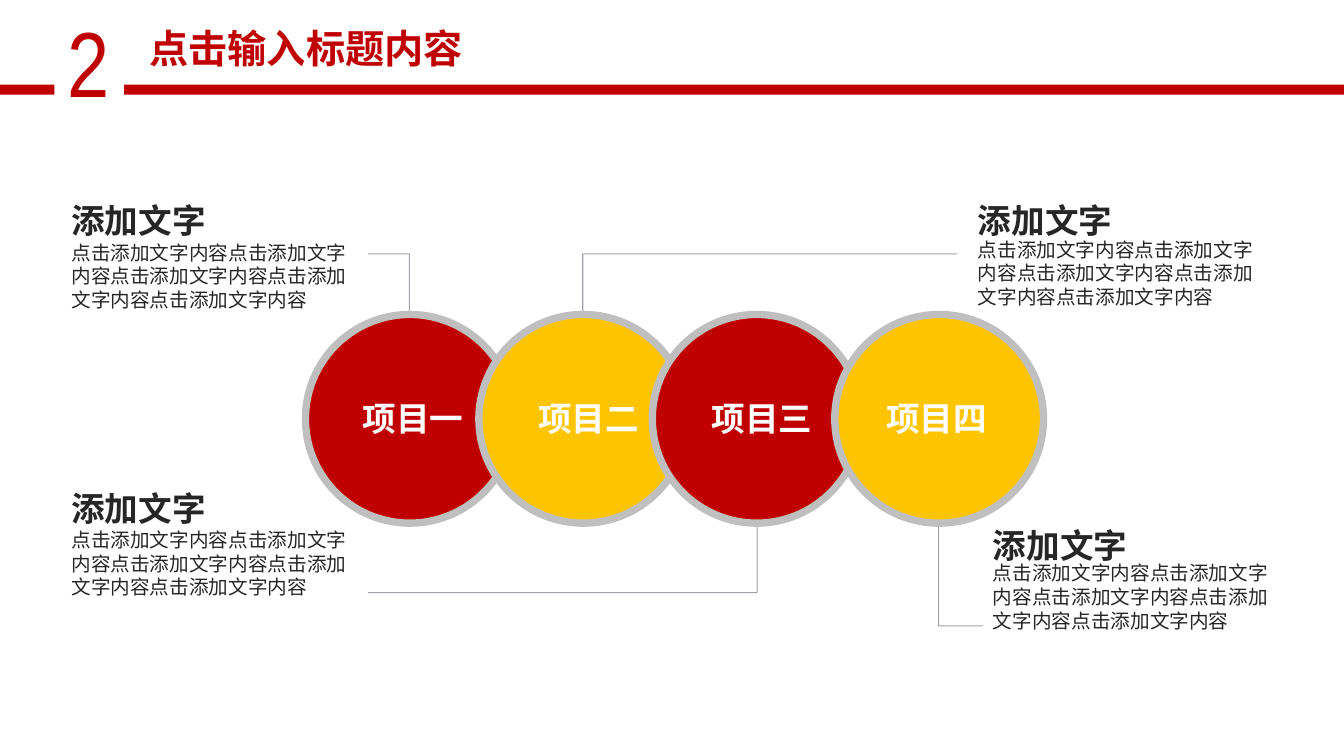
from lxml.etree import SubElement
from pptx import Presentation
from pptx.dml.color import RGBColor
from pptx.enum.shapes import MSO_CONNECTOR, MSO_SHAPE
from pptx.enum.text import MSO_ANCHOR, PP_ALIGN
from pptx.oxml.ns import qn
from pptx.util import Inches, Pt

RED, YELLOW, GREY, DARK, WHITE, SLATE = (
    "C00000", "FFC400", "BFBFBF", "262626", "FFFFFF", "414455")
CJK = "Noto Sans CJK SC"
BODY = "点击添加文字内容" * 5

NUMBER = {"size": Pt(66), "name": "Arial Narrow", "bold": False}
TITLE = {"size": Pt(28), "name": CJK, "bold": True}
HEADING = {"size": Pt(24), "name": CJK, "bold": True}
DETAIL = {"size": Pt(14), "name": CJK, "bold": False}

NOTES = [(0.61, 1.77, 2.34), (0.61, 4.63, 5.19),
         (9.6, 1.77, 2.31), (9.75, 5, 5.52)]
ITEMS = [("项目一", 3.03, 3.5, RED), ("项目二", 4.75, 5.24, YELLOW),
         ("项目三", 6.47, 6.96, RED), ("项目四", 8.28, 8.69, YELLOW)]
LEADERS = [(4.06, 3.12, 2.52, 3.65), (5.78, 3.12, 2.52, 9.49),
           (7.51, 5.19, 5.88, 3.65), (9.31, 5.19, 6.21, 9.75)]


def paint(color_format, color):
    color_format.rgb = RGBColor.from_string(color)


def write(sp, text, style, color, align=PP_ALIGN.LEFT, spacing=1.0):
    tf = sp.text_frame
    tf.word_wrap = True
    tf.vertical_anchor = MSO_ANCHOR.TOP
    p = tf.paragraphs[0]
    p.alignment = align
    p.line_spacing = spacing
    p.space_before = Pt(0)
    r = p.add_run()
    r.text = text
    for key, value in style.items():
        setattr(r.font, key, value)
    paint(r.font.color, color)
    SubElement(r.font._element, qn("a:ea")).set("typeface", style["name"])


def add_text(s, box, text, style, color, **layout):
    sp = s.shapes.add_textbox(*map(Inches, box))
    write(sp, text, style, color, **layout)


def add_title(s, box, text):
    sp = s.shapes.title
    sp.left, sp.top, sp.width, sp.height = map(Inches, box)
    write(sp, text, TITLE, RED, PP_ALIGN.CENTER)


def add_filled(s, kind, box, fill, outline=None):
    sp = s.shapes.add_shape(kind, *map(Inches, box))
    sp.shadow.inherit = False
    sp.fill.solid()
    paint(sp.fill.fore_color, fill)
    if outline:
        paint(sp.line.color, outline)
        sp.line.width = Pt(5.25)
    else:
        sp.line.fill.background()


def add_line(s, start, end):
    line = s.shapes.add_connector(
        MSO_CONNECTOR.STRAIGHT, *map(Inches, start + end))
    paint(line.line.color, SLATE)
    line.line.width = Pt(0.75)
    color = line._element.spPr.find(".//" + qn("a:srgbClr"))
    SubElement(color, qn("a:alpha")).set("val", "50000")
    SubElement(line._element.spPr, qn("a:effectLst"))


def add_leader(s, x, edge, level, end):
    add_line(s, (x, edge), (x, level))
    add_line(s, (x, level), (end, level))


def add_note(s, left, heading_top, detail_top):
    add_text(s, (left, heading_top, 3.04, 0.43), "添加文字",
             HEADING, DARK, spacing=1.4)
    add_text(s, (left, detail_top, 3.04, 1.38), BODY, DETAIL, DARK)


def add_item(s, name, left, label_left, color):
    add_filled(s, MSO_SHAPE.OVAL, (left, 3.12, 2.07, 2.07), color, GREY)
    add_text(s, (label_left, 3.9, 1.34, 0.62), name, HEADING, WHITE)


def main():
    prs = Presentation()
    prs.slide_width, prs.slide_height = Inches(13.33), Inches(7.5)
    s = prs.slides.add_slide(prs.slide_layouts[5])
    add_title(s, (1.24, 0.19, 3.59, 0.57), "点击输入标题内容")
    add_text(s, (0.57, 0, 0.34, 1.21), "2", NUMBER, RED)
    for left, width in [(1.23, 12.11), (-0.03, 0.57)]:
        add_filled(s, MSO_SHAPE.RECTANGLE, (left, 0.84, width, 0.1), RED)
    for note in NOTES:
        add_note(s, *note)
    for leader in LEADERS:
        add_leader(s, *leader)
    for item in ITEMS:
        add_item(s, *item)
    prs.save("out.pptx")


if __name__ == "__main__":
    main()
